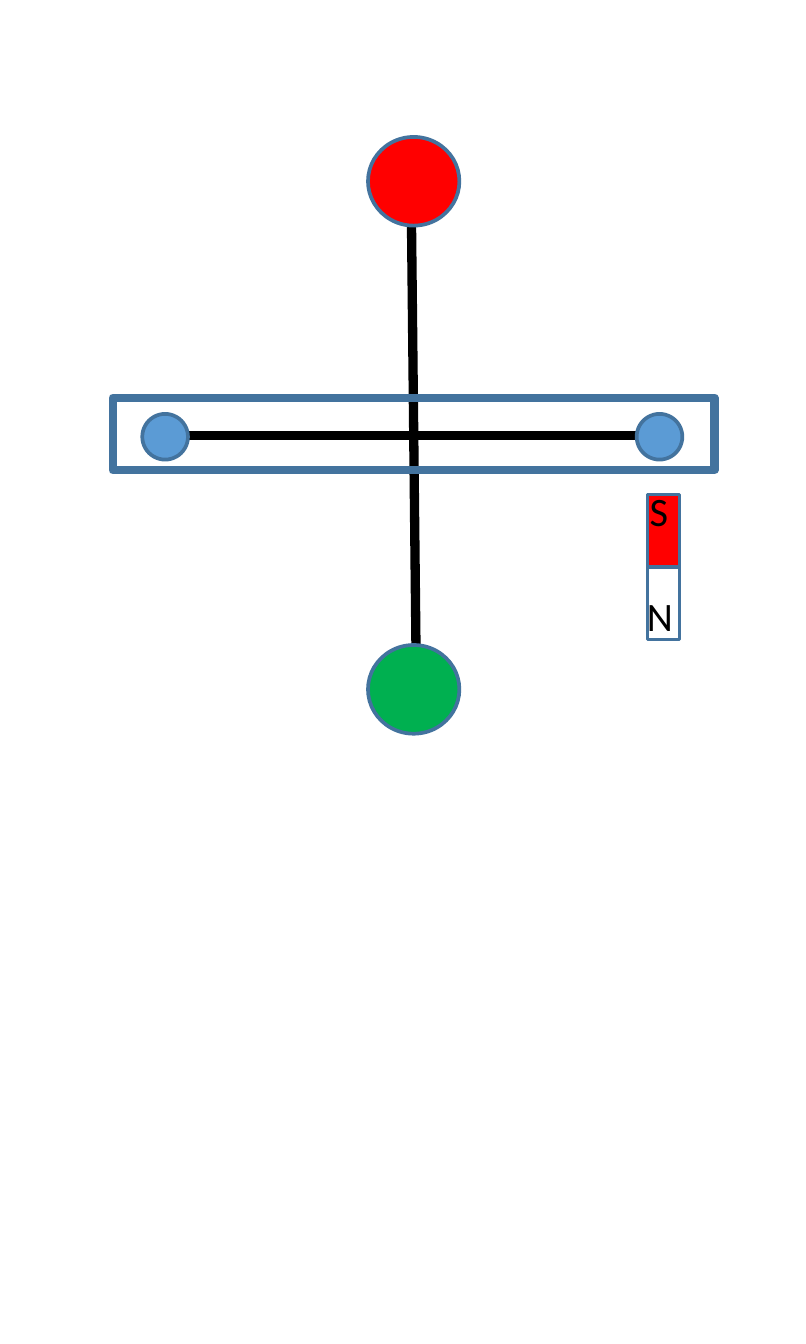
"""Draw a compass-like cross of two bars with a small magnet beside it."""
import pptx
import pptx.util
import pptx.dml.color
import pptx.enum.shapes
import pptx.enum.text
import pptx.oxml.ns
import lxml.etree

EDGE = "43739E"
KIND = pptx.enum.shapes.MSO_SHAPE
BAR = ((0.62, 1.62), (2.46, 1.62), 2.25)
ROD = ((1.53, 0.67), (1.55, 2.57), 2.5)
DOTS = [(KIND.OVAL, (x, 1.54, 0.17, 0.17), "5B9BD5", 1) for x in (2.37, 0.53)]
BALLS = [
    (KIND.OVAL, (1.37, 2.4, 0.34, 0.33), "00B050", 1),
    (KIND.OVAL, (1.37, 0.51, 0.34, 0.33), "FF0000", 1),
]
FRAME = (KIND.RECTANGLE, (0.42, 1.48, 2.24, 0.27), None, 2.25)
MAGNET = [
    (KIND.RECTANGLE, (2.41, 2.11, 0.12, 0.27), "FFFFFF", 1),
    (KIND.RECTANGLE, (2.41, 1.84, 0.12, 0.27), "FF0000", 1),
]
POLES = [("S", (2.32, 1.76, 0.27, 0.28)), ("N", (2.31, 2.15, 0.3, 0.28))]

Inches = pptx.util.Inches
Pt = pptx.util.Pt


def paint(part, tone):
    part.rgb = pptx.dml.color.RGBColor.from_string(tone)


def draw_line(start, end, width):
    ends = [Inches(v) for v in start + end]
    line = slide.shapes.add_connector(pptx.enum.shapes.MSO_CONNECTOR.STRAIGHT, *ends)
    paint(line.line.color, "000000")
    line.line.width = Pt(width)
    props = line._element.spPr
    lxml.etree.SubElement(props, pptx.oxml.ns.qn("a:effectLst"))


def draw_shape(kind, box, tone, width):
    shape = slide.shapes.add_shape(kind, *map(Inches, box))
    shape.shadow.inherit = False
    if tone:
        shape.fill.solid()
        paint(shape.fill.fore_color, tone)
    else:
        shape.fill.background()
    paint(shape.line.color, EDGE)
    shape.line.width = Pt(width)


def draw_text(word, box):
    frame = slide.shapes.add_textbox(*map(Inches, box)).text_frame
    frame.word_wrap = False
    frame.auto_size = pptx.enum.text.MSO_AUTO_SIZE.SHAPE_TO_FIT_TEXT
    run = frame.paragraphs[0].add_run()
    run.text = word
    run.font.name = "Calibri"
    run.font.size = Pt(10.8)
    paint(run.font.color, "000000")


deck = pptx.Presentation()
deck.slide_width, deck.slide_height = Inches(3), Inches(5)
slide = deck.slides.add_slide(deck.slide_layouts[6])

draw_line(*BAR)
for dot in DOTS:
    draw_shape(*dot)
draw_line(*ROD)
for item in BALLS + [FRAME] + MAGNET:
    draw_shape(*item)
for pole in POLES:
    draw_text(*pole)

deck.save("out.pptx")
